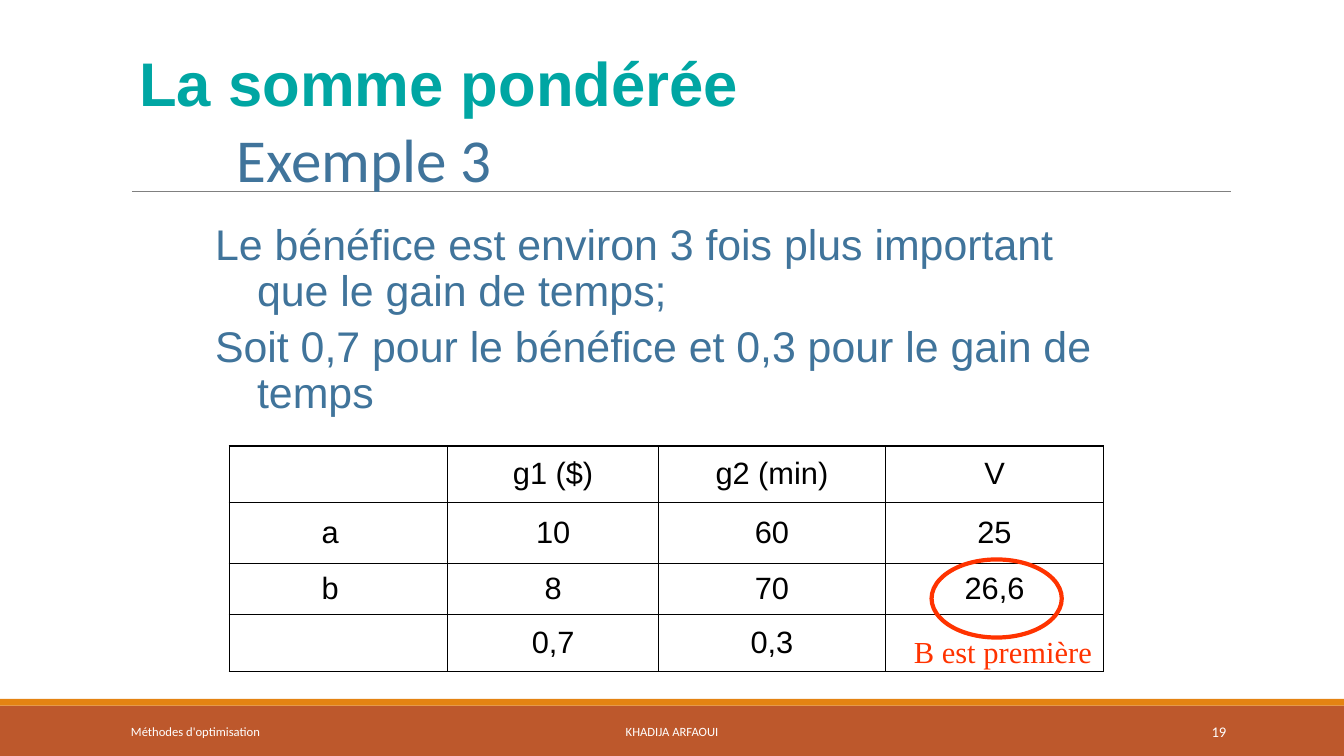
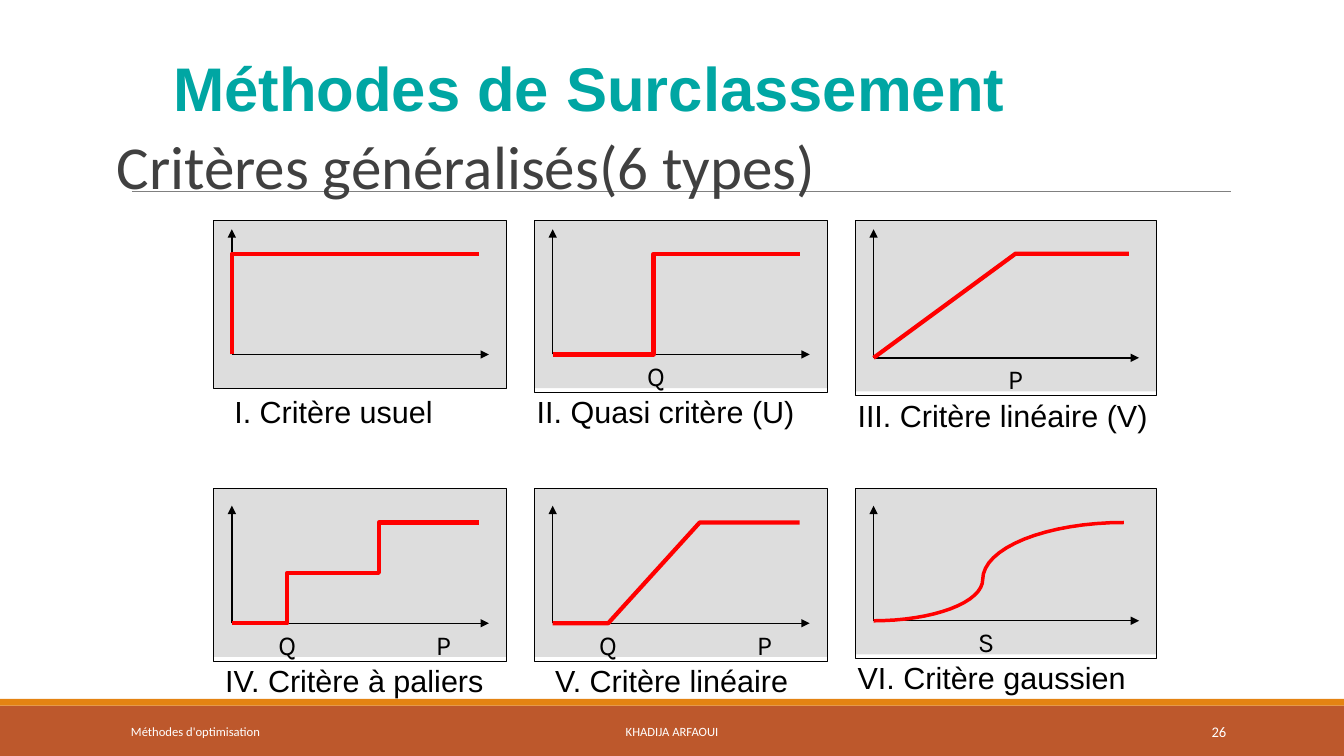
"""Builds two slides on multi-criteria methods, on a grid of 160 columns by 90 rows."""
from math import cos, pi, sin

from lxml.etree import SubElement
from pptx import Presentation
from pptx.dml.color import RGBColor
from pptx.enum.shapes import MSO_CONNECTOR, MSO_SHAPE
from pptx.enum.text import MSO_ANCHOR, PP_ALIGN
from pptx.oxml.ns import qn
from pptx.util import Pt

TEAL = RGBColor(0x00, 0xA6, 0xA3)
BLUE = RGBColor(0x40, 0x74, 0x9B)
DARK = RGBColor(0x40, 0x40, 0x40)
RUST = RGBColor(0xBD, 0x58, 0x2C)
ORANGE = RGBColor(0xE4, 0x83, 0x12)
RULE = RGBColor(0x80, 0x80, 0x80)
PANEL = RGBColor(0xDD, 0xDD, 0xDD)
RED = RGBColor(0xFF, 0x00, 0x00)
VERMILION = RGBColor(0xFF, 0x33, 0x00)
BLACK = RGBColor(0x00, 0x00, 0x00)
WHITE = RGBColor(0xFF, 0xFF, 0xFF)

SANS, HUMANIST, SERIF, LABEL = "Arial", "Calibri", "Times New Roman", "Karla"
COLS, ROWS = 160, 90
CELL = Pt(6)


def grid(*units):
    """Turn grid units into whole EMU lengths."""
    return [round(u * CELL) for u in units]


class Deck:
    """The shared style and the slide being drawn."""

    def __init__(self):
        """Open an empty presentation of the grid's size."""
        self.prs = Presentation()
        self.prs.slide_width, self.prs.slide_height = grid(COLS, ROWS)

    def slide(self, number):
        """Start a slide with its bands, rule and footer."""
        self.s = self.prs.slides.add_slide(self.prs.slide_layouts[6])
        self.shape((0, 84, COLS, 6), fill=RUST)
        self.shape((0, 83.2, COLS, 0.8), fill=ORANGE)
        self.line((15.7, 22.8), (146.5, 22.8), RULE, 0.5)
        footers = (
            (15.6, 30, "Méthodes d'optimisation", 9, PP_ALIGN.LEFT),
            (49.6, 60.8, "KHADIJA ARFAOUI", 9, PP_ALIGN.CENTER),
            (131, 15, str(number), 10.5, PP_ALIGN.RIGHT),
        )
        for x, w, words, size, align in footers:
            self.text((x, 84.7, w, 4.8), words, size, WHITE, HUMANIST,
                      align=align, anchor=MSO_ANCHOR.MIDDLE)

    def paint(self, sp, fill, line, width):
        """Set fill and outline, and drop the shadow."""
        sp.shadow.inherit = False
        if fill is None:
            sp.fill.background()
        else:
            sp.fill.solid()
            sp.fill.fore_color.rgb = fill
        if line is None:
            sp.line.fill.background()
        else:
            sp.line.color.rgb = line
            sp.line.width = Pt(width)

    def shape(self, box, kind=MSO_SHAPE.RECTANGLE, fill=None, line=None, width=0.75):
        """Draw a preset shape."""
        self.paint(self.s.shapes.add_shape(kind, *grid(*box)), fill, line, width)

    def line(self, start, end, color, width, arrow=False):
        """Draw a straight line, with an arrowhead at its end if asked."""
        sp = self.s.shapes.add_connector(MSO_CONNECTOR.STRAIGHT, *grid(*start, *end))
        sp.line.color.rgb = color
        sp.line.width = Pt(width)
        if arrow:
            ln = sp._element.spPr.find(qn("a:ln"))
            SubElement(ln, qn("a:tailEnd"), type="triangle")
        SubElement(sp._element.spPr, qn("a:effectLst"))

    def curve(self, points, color, width):
        """Draw an open line through points."""
        first, *rest = [grid(*point) for point in points]
        builder = self.s.shapes.build_freeform(*first)
        builder.add_line_segments(rest, close=False)
        self.paint(builder.convert_to_shape(), None, color, width)

    def paragraph(self, p, words, size, color, font, bold=False, align=PP_ALIGN.LEFT):
        """Fill and style one paragraph."""
        p.text = words
        p.alignment = align
        p.font.size, p.font.name, p.font.bold = Pt(size), font, bold
        p.font.color.rgb = color

    def indent(self, p, left, first=0):
        """Indent a paragraph and its first line."""
        pPr = p._p.get_or_add_pPr()
        for name, length in zip(("marL", "indent"), grid(left, first)):
            pPr.set(name, str(length))

    def text(self, box, words, size, color, font, bold=False,
             align=PP_ALIGN.LEFT, anchor=MSO_ANCHOR.TOP):
        """Add a text box with one paragraph and return its frame."""
        tf = self.s.shapes.add_textbox(*grid(*box)).text_frame
        tf.word_wrap = True
        tf.vertical_anchor = anchor
        tf.margin_left = tf.margin_right = tf.margin_top = tf.margin_bottom = 0
        self.paragraph(tf.paragraphs[0], words, size, color, font, bold, align)
        return tf

    def heading(self, box, words):
        """Add the teal heading."""
        return self.text(box, words, 44, TEAL, SANS, bold=True, anchor=MSO_ANCHOR.BOTTOM)

    def table(self, corner, widths, heights, rows):
        """Add a ruled table without fill."""
        frame = self.s.shapes.add_table(
            len(rows), len(widths), *grid(*corner, sum(widths), sum(heights)))
        table = frame.table
        table.first_row = table.horz_banding = False
        for column, w in zip(table.columns, grid(*widths)):
            column.width = w
        for row, h in zip(table.rows, grid(*heights)):
            row.height = h
        for i, row in enumerate(rows):
            for j, words in enumerate(row):
                self.table_cell(table.cell(i, j), words, j == 0)

    def table_cell(self, cell, words, is_name):
        """Fill, place and rule one table cell."""
        cell.margin_left = cell.margin_right = cell.margin_top = cell.margin_bottom = 0
        cell.vertical_anchor = MSO_ANCHOR.MIDDLE
        p = cell.text_frame.paragraphs[0]
        self.paragraph(p, words, 22, BLACK, SANS,
                       align=PP_ALIGN.LEFT if is_name else PP_ALIGN.CENTER)
        if is_name:
            self.indent(p, 11)
        tcPr = cell._tc.get_or_add_tcPr()
        for side in ("a:lnL", "a:lnR", "a:lnT", "a:lnB"):
            ln = SubElement(tcPr, qn(side), w=str(Pt(1)))
            SubElement(SubElement(ln, qn("a:solidFill")), qn("a:srgbClr"), val=str(BLACK))
        cell.fill.background()

    def criterion(self, x, y, w, h, arrow_top, points, labels, caption, shift, weight=3):
        """Draw one criterion: panel, axes, function, labels and caption."""
        left, base, top = x + 2.2, y + h - 4, y + 4
        self.shape((x, y, w, h), fill=PANEL)
        self.shape((x, y, w, h + (0.5 if labels else 0)), line=BLACK)
        self.line((left, base), (left, y + arrow_top), BLACK, 1, arrow=True)
        self.line((left, base), (x + w - 2.1, base), BLACK, 1, arrow=True)
        self.curve([(left + px, base - level * (base - top)) for px, level in points],
                   RED, weight)
        for letter, px in labels:
            self.text((left + px - 3, y + h - 3.5, 6, 4), letter, 19.6, BLACK, LABEL,
                      align=PP_ALIGN.CENTER, anchor=MSO_ANCHOR.MIDDLE)
        self.text((x + shift, y + h + 0.6, 37, 4.4), caption, 21.8, BLACK, SANS)


def weighted_sum(deck):
    """Draw the weighted-sum example."""
    deck.slide(19)
    tf = deck.heading((16.6, 5, 120, 18.2), "La somme pondérée")
    p = tf.add_paragraph()
    deck.paragraph(p, "Exemple 3", 43.6, BLUE, HUMANIST)
    deck.indent(p, 11.6)
    p.space_before = Pt(2)

    tf = deck.text((25.5, 26.5, 105.5, 23.5),
                   "Le bénéfice est environ 3 fois plus important que le gain de temps;",
                   30.6, BLUE, SANS)
    deck.paragraph(tf.add_paragraph(),
                   "Soit 0,7 pour le bénéfice et 0,3 pour le gain de temps", 30.6, BLUE, SANS)
    for p, before in zip(tf.paragraphs, (5.2, 7.3)):
        deck.indent(p, 5.1, -5)
        p.line_spacing, p.space_before = Pt(33), Pt(before)

    deck.table((27.3, 53.1), (26, 25.1, 27, 26), (6.7, 7.3, 6.1, 6.7), (
        ("", "g1 ($)", "g2 (min)", "V"),
        ("a", "10", "60", "25"),
        ("b", "8", "70", "26,6"),
        ("", "0,7", "0,3", ""),
    ))
    deck.shape((110.9, 66.6, 15.5, 9.3), MSO_SHAPE.OVAL, line=VERMILION, width=3)
    deck.text((108.8, 75.4, 24, 4.4), "B est première", 21.8, VERMILION, SERIF)


def s_curve(middle, end, level, steps=16):
    """List the points of two quarter ellipses that meet at the middle."""
    turns = [pi / 2 * i / steps for i in range(steps + 1)]
    rise = [(middle * sin(t), level * (1 - cos(t))) for t in turns]
    settle = [(end - (end - middle) * cos(t), level + (1 - level) * sin(t)) for t in turns]
    return rise + settle[1:]


def criteria(deck):
    """Draw the six generalised criteria."""
    deck.slide(26)
    deck.text((13.9, 14, 110, 10), "Critères généralisés(6 types)", 43.6, DARK, HUMANIST,
              anchor=MSO_ANCHOR.BOTTOM)
    widths, end, wide_end = (34.9, 34.9, 35.9), 29.4, 30.4
    rows = (
        (1.1, (
            (20, [(0, 0), (0, 1), (end, 1)], (), "I. Critère usuel", 2.5),
            (20, [(0, 0), (12, 0), (12, 1), (end, 1)], (("Q", 12.3),),
             "II. Quasi critère (U)", 0.3),
            (20.4, [(0, 0), (16.9, 1), (wide_end, 1)], (("P", 16.9),),
             "III. Critère linéaire (V)", 0.3),
        )),
        (2, (
            (20, [(0, 0), (6.6, 0), (6.6, 0.5), (17.5, 0.5), (17.5, 1), (end, 1)],
             (("Q", 6.6), ("P", 25.2)), "IV. Critère à paliers", 1.4),
            (20, [(0, 0), (6.6, 0), (17.5, 1), (end, 1)],
             (("Q", 6.6), ("P", 25.2)), "V. Critère linéaire", 2.5),
            (19.7, s_curve(13, 29.8, 0.42), (("S", 13.4),),
             "VI. Critère gaussien", 0.3, 2.5),
        )),
    )
    for i, (arrow_top, panels) in enumerate(rows):
        for j, (h, *details) in enumerate(panels):
            deck.criterion(25.4 + 38.2 * j, 26.2 + 32 * i, widths[j], h, arrow_top, *details)
    deck.heading((20.6, 5.7, 110, 9.1), "Méthodes de Surclassement")


def main():
    """Build and save the slides."""
    deck = Deck()
    weighted_sum(deck)
    criteria(deck)
    deck.prs.save("out.pptx")


if __name__ == "__main__":
    main()
